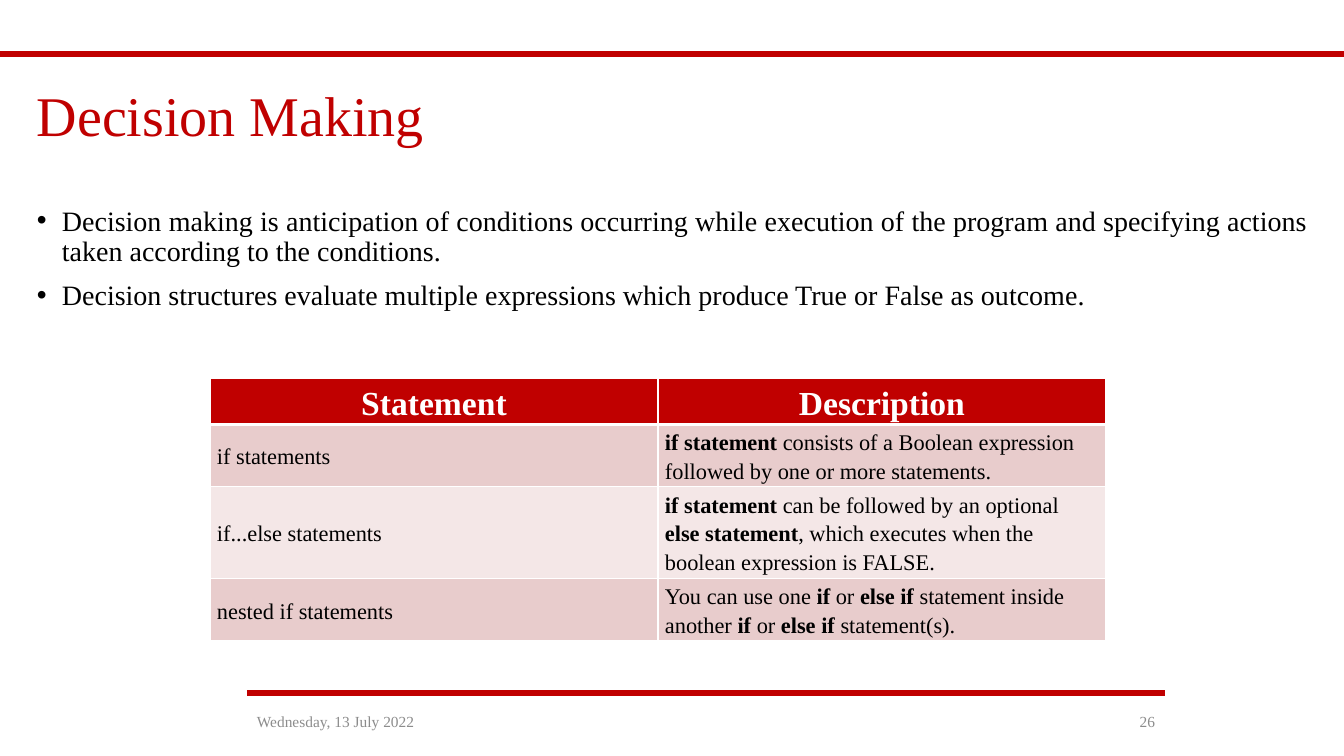
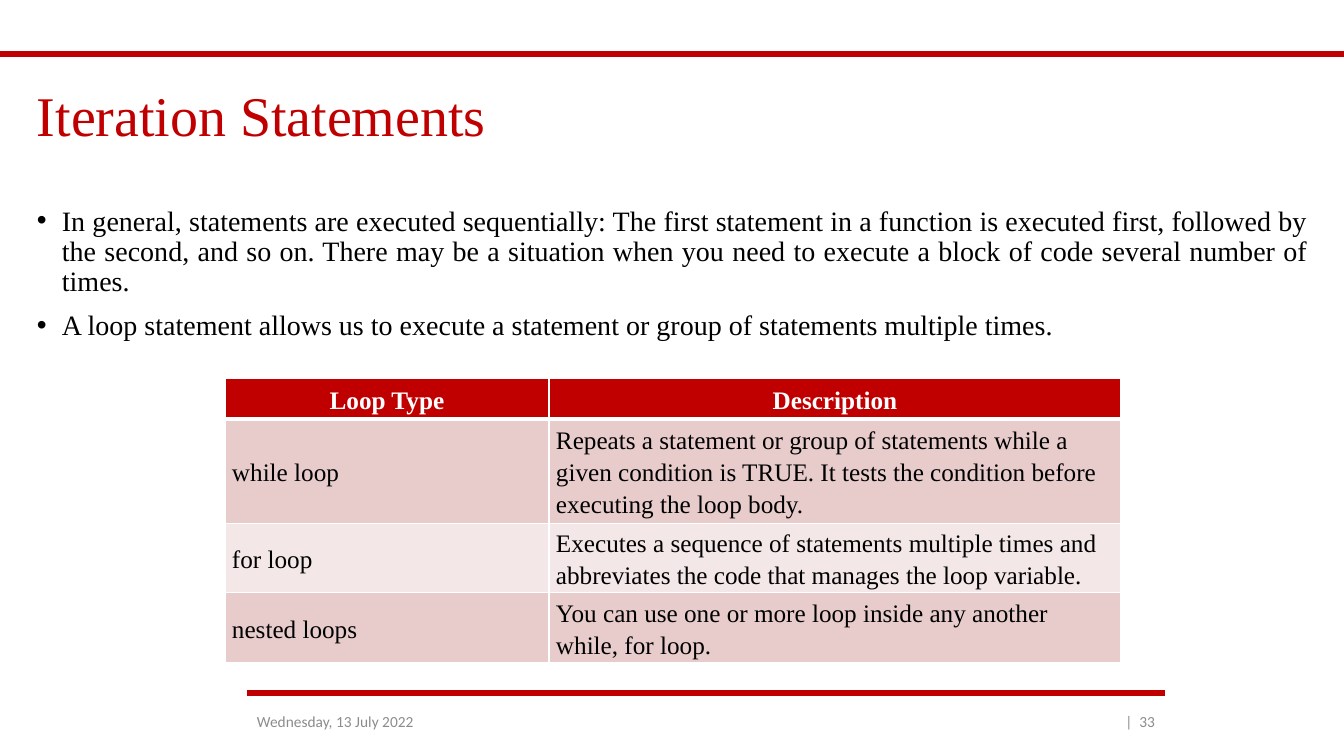
from lxml import etree
from pptx import Presentation
from pptx.dml.color import RGBColor
from pptx.enum.shapes import MSO_CONNECTOR
from pptx.enum.text import MSO_ANCHOR, PP_ALIGN
from pptx.oxml.ns import qn
from pptx.util import Pt

PX = 914400 / 100.8
LINE = MSO_CONNECTOR.STRAIGHT
MID, TOP = MSO_ANCHOR.MIDDLE, MSO_ANCHOR.TOP
LEFT, RIGHT, CENTER, FULL = PP_ALIGN.LEFT, PP_ALIGN.RIGHT, PP_ALIGN.CENTER, PP_ALIGN.JUSTIFY
INK = {"red": "C00000", "black": "000000", "white": "FFFFFF",
       "gray": "8C8C8C", "pink": "E8CCCC", "pale": "F4E7E7"}
SERIF, SANS = "Times New Roman", "Calibri"
WIDE, HIGH = 1344, 756

HEAD = (27, 54, 1291, 129)
FOOT = (247, 701, 918, 40)
BANDS = [(0, 54, WIDE), (247, 693, 918)]
DATE = "Wednesday, 13 July 2022"
ROW = 41

PAGES = [
    {"title": "Decision Making",
     "points": [
         "Decision making is anticipation of conditions occurring while execution of the program and specifying actions taken according to the conditions.",
         "Decision structures evaluate multiple expressions which produce True or False as outcome."],
     "body": (27, 202, 1291, 205),
     "grid": (210, 378, 896, 254), "cols": (448, 448), "sizes": (24, 16),
     "rows": [
         ("Statement", "Description"),
         ("if statements",
          "*if statement *consists of a Boolean expression followed by one or more statements."),
         ("if...else statements",
          "*if statement *can be followed by an optional *else statement*, which executes when the boolean expression is FALSE."),
         ("nested if statements",
          "You can use one *if *or *else if *statement inside another *if *or *else if *statement(s).")],
     "number": "26", "font": SERIF},
    {"title": "Iteration Statements",
     "points": [
         "In general, statements are executed sequentially: The first statement in a function is executed first, followed by the second, and so on. There may be a situation when you need to execute a block of code several number of times.",
         "A loop statement allows us to execute a statement or group of statements multiple times."],
     "body": (27, 202, 1291, 247),
     "grid": (225, 378, 896, 277), "cols": (324, 572), "sizes": (18, 18),
     "rows": [
         ("Loop Type", "Description"),
         ("while loop",
          "Repeats a statement or group of statements while a given condition is TRUE. It tests the condition before executing the loop body."),
         ("for loop",
          "Executes a sequence of statements multiple times and abbreviates the code that manages the loop variable."),
         ("nested loops",
          "You can use one or more loop inside any another while, for loop.")],
     "number": "|  33", "font": SANS},
]


def px(n):
    return round(n * PX)


def rgb(name):
    return RGBColor.from_string(INK[name])


def put(item, **vals):
    for key, val in vals.items():
        setattr(item, key, val)


def write(par, text, size, ink, font=SERIF, bold=False, **vals):
    put(par, **vals)
    for i, part in enumerate(text.split("*")):
        if part:
            run = par.add_run()
            run.text = part
            put(run.font, size=Pt(size), name=font, bold=bold or i % 2 == 1)
            run.font.color.rgb = rgb(ink)


def add_box(slide, box, anchor):
    frame = slide.shapes.add_textbox(*map(px, box)).text_frame
    put(frame, word_wrap=True, vertical_anchor=anchor)
    return frame


def add_bands(slide):
    for x, y, w in BANDS:
        band = slide.shapes.add_connector(LINE, px(x), px(y), px(x + w), px(y))
        band.line.color.rgb = rgb("red")
        band.line.width = Pt(4.5)
        etree.SubElement(band._element.spPr, qn("a:effectLst"))


def add_title(slide, box, text):
    frame = add_box(slide, box, MID)
    write(frame.paragraphs[0], text, 40, "red", line_spacing=0.9)


def add_points(slide, box, points):
    frame = add_box(slide, box, TOP)
    for i, text in enumerate(points):
        par = frame.add_paragraph() if i else frame.paragraphs[0]
        write(par, text, 20, "black", alignment=FULL,
              line_spacing=0.9, space_before=Pt(10))
        props = par._p.get_or_add_pPr()
        props.set("marL", str(px(25)))
        props.set("indent", str(-px(25)))
        etree.SubElement(props, qn("a:buFont"), typeface="Arial")
        etree.SubElement(props, qn("a:buChar"), char="•")


def add_foot(slide, box, number, font):
    x, y, w, h = box
    parts = [(x, 227, DATE, LEFT), (x + w - 79, 79, number, RIGHT)]
    for left, wide, text, align in parts:
        frame = add_box(slide, (left, y, wide, h), MID)
        write(frame.paragraphs[0], text, 11, "gray", font, alignment=align)


def add_edges(cell, row):
    props = cell._tc.get_or_add_tcPr()
    widths = {"lnL": 1, "lnR": 1, "lnT": 3 if row == 1 else 1, "lnB": 1 if row else 3}
    for tag, wide in widths.items():
        edge = etree.SubElement(props, qn("a:" + tag), w=str(Pt(wide)))
        fill = etree.SubElement(edge, qn("a:solidFill"))
        etree.SubElement(fill, qn("a:srgbClr"), val=INK["white"])


def add_grid(slide, box, cols, rows, sizes):
    shape = slide.shapes.add_table(len(rows), len(cols), *map(px, box))
    table = shape.table
    for col, wide in zip(table.columns, cols):
        col.width = px(wide)
    for r, texts in enumerate(rows):
        table.rows[r].height = px(ROW)
        head = r == 0
        for c, text in enumerate(texts):
            cell = table.cell(r, c)
            put(cell, vertical_anchor=MID, margin_left=px(7), margin_right=px(7),
                margin_top=0, margin_bottom=0)
            add_edges(cell, r)
            cell.fill.solid()
            cell.fill.fore_color.rgb = rgb("red" if head else "pink" if r % 2 else "pale")
            write(cell.text_frame.paragraphs[0], text, sizes[0 if head else 1],
                  "white" if head else "black", bold=head,
                  alignment=CENTER if head else LEFT, line_spacing=1.15)
    shape.height = px(box[3])


def add_page(deck, page):
    slide = deck.slides.add_slide(deck.slide_layouts[6])
    add_bands(slide)
    add_title(slide, HEAD, page["title"])
    add_points(slide, page["body"], page["points"])
    add_foot(slide, FOOT, page["number"], page["font"])
    add_grid(slide, page["grid"], page["cols"], page["rows"], page["sizes"])


def main():
    deck = Presentation()
    put(deck, slide_width=px(WIDE), slide_height=px(HIGH))
    for page in PAGES:
        add_page(deck, page)
    deck.save("out.pptx")


if __name__ == "__main__":
    main()
